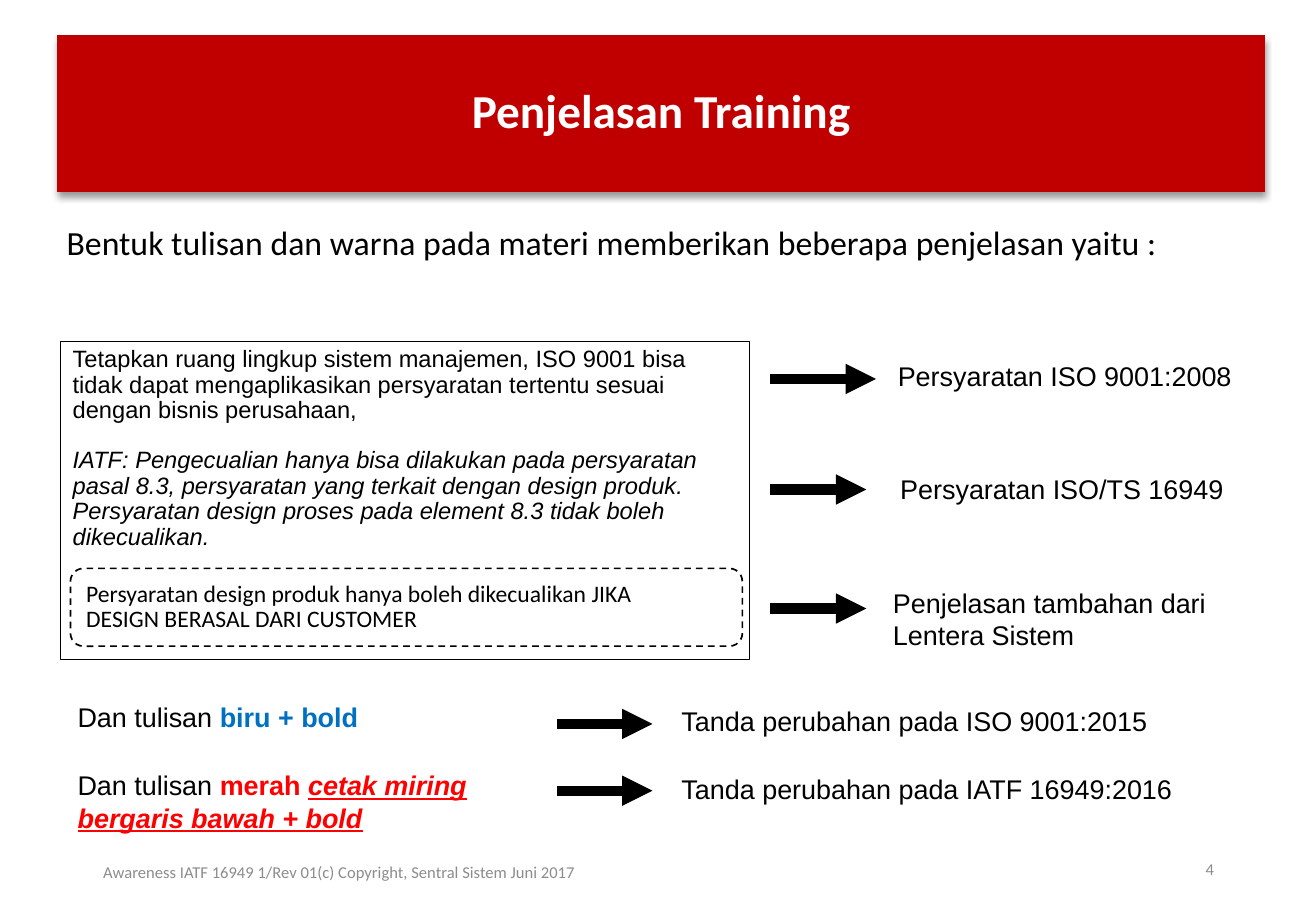
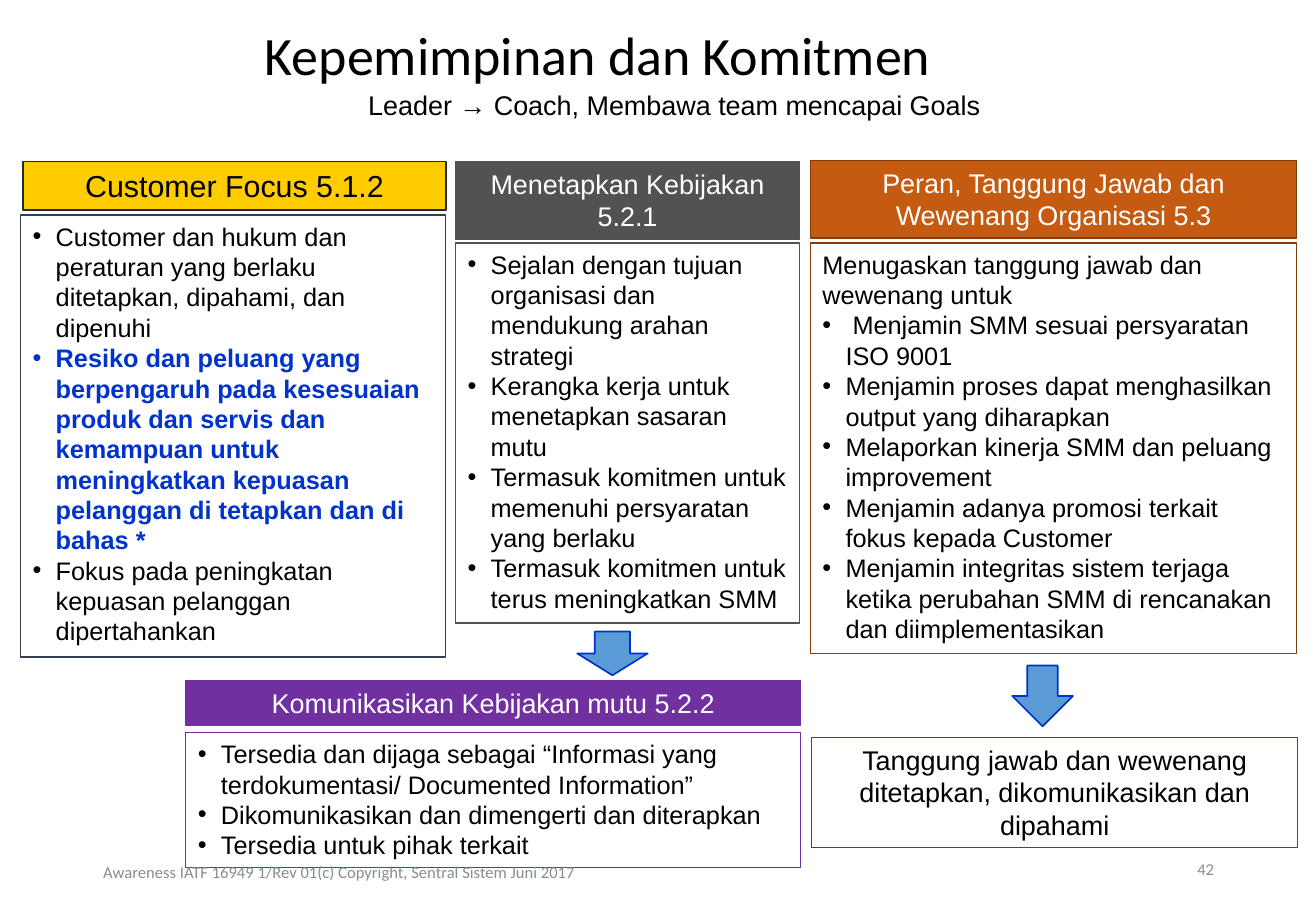
from lxml import etree
from pptx import Presentation
from pptx.dml.color import RGBColor
from pptx.enum.dml import MSO_LINE
from pptx.enum.shapes import MSO_CONNECTOR, MSO_SHAPE
from pptx.enum.text import MSO_ANCHOR as ANCHOR, PP_ALIGN as ALIGN
from pptx.oxml import parse_xml
from pptx.oxml.ns import nsdecls, qn
from pptx.util import Inches, Pt

# Shared look
COLORS = {
    "black": "000000", "white": "FFFFFF", "muted": "8C8C8C",
    "banner": "C00000", "red": "FF0000", "blue": "0070C0", "royal": "0033CC",
    "sky": "5B9BD5", "yellow": "FFCC00", "navy": "222A35", "slate": "333F50",
    "gray": "525252", "orange": "C55A11", "brown": "843C0B",
    "purple": "7030A0", "green": "385723",
}
BODY_FONT, TITLE_FONT = "Arial", "Calibri"
TITLE = {"font": TITLE_FONT, "spacing": 0.9, "anchor": ANCHOR.MIDDLE}
FOOTER = {"font": TITLE_FONT, "size": 9.8, "color": "muted", "anchor": ANCHOR.MIDDLE}
FOOTER_TEXT = "Awareness IATF 16949 1/Rev 01(c) Copyright, Sentral Sistem Juni 2017"
BULLET_INDENT = Inches(0.19)


def rgb(name):
    return RGBColor.from_string(COLORS[name])


# Text
def add_bullet(p):
    pPr = p._p.get_or_add_pPr()
    pPr.set("marL", str(BULLET_INDENT))
    pPr.set("indent", str(-BULLET_INDENT))
    etree.SubElement(pPr, qn("a:buFont")).set("typeface", BODY_FONT)
    etree.SubElement(pPr, qn("a:buChar")).set("char", "•")


def add_run(p, text, size, font, color="black", bold=False, italic=False, underline=False):
    r = p.add_run()
    r.text = text
    f = r.font
    f.size, f.name, f.color.rgb = Pt(size), font, rgb(color)
    f.bold, f.italic, f.underline = bold, italic, underline


def write(sp, paragraphs, size=16, font=BODY_FONT, align=ALIGN.LEFT, anchor=ANCHOR.TOP,
          spacing=None, bullets_from=None, **style):
    """Each paragraph is a string or a list of (text, run style) pairs."""
    tf = sp.text_frame
    tf.word_wrap = True
    tf.vertical_anchor = anchor
    for i, runs in enumerate(paragraphs):
        p = tf.add_paragraph() if i else tf.paragraphs[0]
        p.alignment = align
        if spacing:
            p.line_spacing = spacing
        if bullets_from is not None and i >= bullets_from:
            add_bullet(p)
        for text, extra in [(runs, {})] if isinstance(runs, str) else runs:
            add_run(p, text, size, font, **{**style, **extra})
    return tf


def add_label(s, x, y, w, h, *paragraphs, **style):
    sp = s.shapes.add_textbox(Inches(x), Inches(y), Inches(w), Inches(h))
    return write(sp, paragraphs, **style)


# Shapes
def add_box(s, x, y, w, h, fill=None, line=None, width=0.75, kind=MSO_SHAPE.RECTANGLE):
    sp = s.shapes.add_shape(kind, Inches(x), Inches(y), Inches(w), Inches(h))
    sp.shadow.inherit = False
    if fill:
        sp.fill.solid()
        sp.fill.fore_color.rgb = rgb(fill)
    else:
        sp.fill.background()
    if line:
        sp.line.color.rgb = rgb(line)
        sp.line.width = Pt(width)
    else:
        sp.line.fill.background()
    return sp


def add_arrow(s, x, y, length):
    c = s.shapes.add_connector(MSO_CONNECTOR.STRAIGHT, Inches(x), Inches(y),
                               Inches(x + length), Inches(y))
    c.line.color.rgb = rgb("black")
    c.line.width = Pt(6)
    etree.SubElement(c.line._get_or_add_ln(), qn("a:tailEnd")).set("type", "triangle")
    etree.SubElement(c._element.spPr, qn("a:effectLst"))


def add_banner(s, text):
    sp = add_box(s, 0.47, 0.29, 9.94, 1.29, fill="banner")
    effects = sp._element.spPr.find(qn("a:effectLst"))
    effects.append(parse_xml(
        f'<a:outerShdw {nsdecls("a")} blurRad="{Pt(4)}" dist="{Pt(3)}" dir="5400000" '
        'rotWithShape="0"><a:srgbClr val="000000"><a:alpha val="40000"/></a:srgbClr>'
        '</a:outerShdw>'))
    write(sp, [text], size=28, color="white", bold=True, align=ALIGN.CENTER, **TITLE)


def add_header(s, x, y, w, h, text, fill, line, color="white", size=16):
    sp = add_box(s, x, y, w, h, fill, line)
    write(sp, [text], size=size, color=color, align=ALIGN.CENTER)


def add_panel(s, x, y, w, h, line, items, bullets_from=0):
    write(add_box(s, x, y, w, h, line=line), items, size=15, bullets_from=bullets_from)


def add_footer(s, number):
    add_label(s, 7.65, 6.95, 2.44, 0.4, str(number), align=ALIGN.RIGHT, **FOOTER)
    add_label(s, 0.33, 6.98, 4.92, 0.4, FOOTER_TEXT, align=ALIGN.CENTER, **FOOTER)


# Slides
def build_explanation(s):
    add_banner(s, "Penjelasan Training")
    add_label(s, 0.45, 1.84, 9.8, 0.5,
              "Bentuk tulisan dan warna pada materi memberikan beberapa penjelasan yaitu :",
              size=20, font=TITLE_FONT, spacing=0.8)

    # Sample text in its frame
    italic = {"italic": True}
    tf = write(add_box(s, 0.5, 2.81, 5.67, 2.62, line="black"), [
        "Tetapkan ruang lingkup sistem manajemen, ISO 9001 bisa tidak dapat "
        "mengaplikasikan persyaratan tertentu sesuai dengan bisnis perusahaan,",
        [("IATF: Pengecualian hanya bisa dilakukan pada persyaratan", italic)],
        [("pasal 8.3, persyaratan yang terkait dengan design produk.", italic)],
        [("Persyaratan design proses pada element 8.3 tidak boleh", italic)],
        [("dikecualikan.", italic)],
    ], size=14, spacing=0.9)
    tf.paragraphs[1].space_before = Pt(14.5)

    note = add_box(s, 0.58, 4.68, 5.53, 0.64, line="black", width=1,
                   kind=MSO_SHAPE.ROUNDED_RECTANGLE)
    note.line.dash_style = MSO_LINE.DASH
    write(note, ["Persyaratan design produk hanya boleh dikecualikan JIKA",
                 "DESIGN BERASAL DARI CUSTOMER"],
          size=14, font=TITLE_FONT, spacing=0.9, anchor=ANCHOR.MIDDLE)

    # Text styles to be explained
    add_label(s, 0.54, 5.72, 3.88, 0.37,
              [("Dan tulisan ", {}), ("biru + bold", {"color": "blue", "bold": True})])
    red = {"color": "red", "bold": True}
    add_label(s, 0.54, 6.28, 3.88, 0.64,
              [("Dan tulisan ", {}), ("merah ", red),
               ("cetak miring bergaris bawah + bold",
                {**red, "italic": True, "underline": True})])

    # Arrows: x, y, length; then label x, y and lines
    for x, y, length, label_x, label_y, *lines in [
        (6.34, 3.12, 0.87, 7.29, 2.91, "Persyaratan ISO 9001:2008"),
        (6.34, 4.03, 0.79, 7.31, 3.84, "Persyaratan ISO/TS 16949"),
        (6.34, 5.01, 0.79, 7.25, 4.78, "Penjelasan tambahan dari", "Lentera Sistem"),
        (4.58, 5.96, 0.79, 5.51, 5.75, "Tanda perubahan pada ISO 9001:2015"),
        (4.58, 6.51, 0.79, 5.51, 6.31, "Tanda perubahan pada IATF 16949:2016"),
    ]:
        add_arrow(s, x, y, length)
        add_label(s, label_x, label_y, 10.6 - label_x, 0.37 + 0.27 * (len(lines) - 1), *lines)
    add_footer(s, 4)


def build_leadership(s):
    add_label(s, 2.08, -0.02, 6.88, 1, "Kepemimpinan dan Komitmen", size=32, **TITLE)
    add_label(s, 2.42, 0.68, 6.26, 0.37, "Leader → Coach, Membawa team mencapai Goals",
              align=ALIGN.CENTER)

    # Panels
    add_panel(s, 0.17, 1.77, 3.5, 3.64, "slate", [
        "Customer dan hukum dan peraturan yang berlaku ditetapkan, dipahami, dan dipenuhi",
        [("Resiko dan peluang yang berpengaruh pada kesesuaian produk dan servis dan "
          "kemampuan untuk meningkatkan kepuasan pelanggan di tetapkan dan di bahas *",
          {"color": "royal", "bold": True})],
        "Fokus pada peningkatan kepuasan pelanggan dipertahankan",
    ])
    add_panel(s, 3.75, 2, 2.83, 3.13, "gray", [
        "Sejalan dengan tujuan organisasi dan mendukung arahan strategi",
        "Kerangka kerja untuk menetapkan sasaran mutu",
        "Termasuk komitmen untuk memenuhi persyaratan yang berlaku",
        "Termasuk komitmen untuk terus meningkatkan SMM",
    ])
    add_panel(s, 1.53, 6.03, 5.06, 1.11, "purple", [
        "Tersedia dan dijaga sebagai “Informasi yang terdokumentasi/ Documented Information”",
        "Dikomunikasikan dan dimengerti dan diterapkan",
        "Tersedia untuk pihak terkait",
    ])
    add_panel(s, 6.67, 2, 4, 3.38, "brown", [
        "Menugaskan tanggung jawab dan wewenang untuk",
        " Menjamin SMM sesuai persyaratan ISO 9001",
        "Menjamin proses dapat menghasilkan output yang diharapkan",
        "Melaporkan kinerja SMM dan peluang improvement",
        "Menjamin adanya promosi terkait fokus kepada Customer",
        "Menjamin integritas sistem terjaga ketika perubahan SMM di rencanakan "
        "dan diimplementasikan",
    ], bullets_from=1)
    add_header(s, 6.68, 6.07, 4, 0.91,
               "Tanggung jawab dan wewenang ditetapkan, dikomunikasikan dan dipahami",
               None, "green", color="black")

    # Down arrows
    for x, y, w, h in [(4.75, 5.2, 0.58, 0.36), (8.33, 5.48, 0.5, 0.5)]:
        add_box(s, x, y, w, h, "sky", "royal", width=1, kind=MSO_SHAPE.DOWN_ARROW)

    # Panel headers
    add_header(s, 0.19, 1.33, 3.48, 0.4, "Customer Focus 5.1.2", "yellow", "navy",
               color="black", size=18)
    add_header(s, 3.75, 1.33, 2.83, 0.64, "Menetapkan Kebijakan 5.2.1", "gray", "gray")
    add_header(s, 6.67, 1.32, 4, 0.64, "Peran, Tanggung Jawab dan Wewenang Organisasi 5.3",
               "orange", "brown")
    add_header(s, 1.53, 5.6, 5.06, 0.37, "Komunikasikan Kebijakan mutu 5.2.2",
               "purple", "purple")
    add_footer(s, 42)


def main():
    prs = Presentation()
    prs.slide_width, prs.slide_height = Inches(10.83), Inches(7.5)
    for build in (build_explanation, build_leadership):
        build(prs.slides.add_slide(prs.slide_layouts[6]))
    prs.save("out.pptx")


if __name__ == "__main__":
    main()
